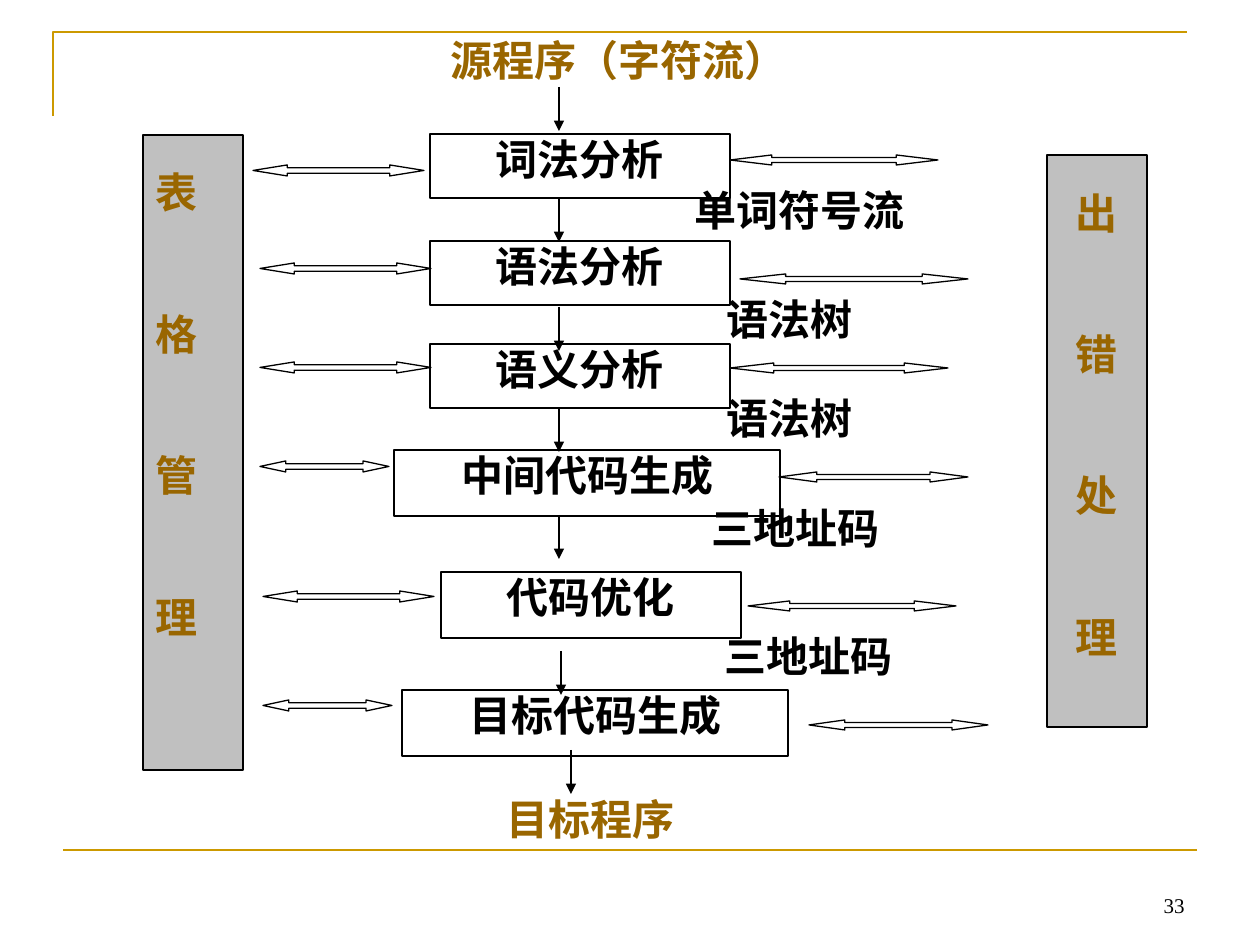
"""Build the compiler phases slide with its tables and error handling columns."""
from typing import NamedTuple

from lxml import etree
from pptx import Presentation
from pptx.dml.color import RGBColor
from pptx.enum.shapes import MSO_CONNECTOR, MSO_SHAPE
from pptx.enum.text import MSO_ANCHOR, PP_ALIGN
from pptx.oxml.ns import qn
from pptx.util import Emu, Pt

EMU_PER_PX = 914400 / 126
RECTANGLE = MSO_SHAPE.RECTANGLE
DOUBLE_ARROW = MSO_SHAPE.LEFT_RIGHT_ARROW
STRAIGHT = MSO_CONNECTOR.STRAIGHT
TOP, BOTTOM = MSO_ANCHOR.TOP, MSO_ANCHOR.BOTTOM
LEFT, CENTER, RIGHT = PP_ALIGN.LEFT, PP_ALIGN.CENTER, PP_ALIGN.RIGHT

COLORS = {"ink": "000000", "paper": "FFFFFF", "column": "C0C0C0",
          "accent": "996600", "frame": "CC9900"}
BODY_FONT = {"name": "Noto Sans CJK SC", "size": Pt(24), "bold": True}
NUMBER_FONT = {"name": "Times New Roman", "size": Pt(12), "bold": False}
LETTER_GAP = Pt(52)
FLOW_LENGTH = 44


class Label(NamedTuple):
    text: str
    left: int
    top: int
    width: int
    color: str = "ink"
    height: int = 66


class Column(NamedTuple):
    letters: str
    left: int
    top: int
    height: int
    alignment: PP_ALIGN


class Exchange(NamedTuple):
    left: int
    top: int
    width: int
    height: int


PHASES = [
    Label("词法分析", 430, 134, 300, height=64),
    Label("语法分析", 430, 241, 300, height=64),
    Label("语义分析", 430, 344, 300, height=64),
    Label("中间代码生成", 394, 450, 386),
    Label("代码优化", 441, 572, 300),
    Label("目标代码生成", 402, 690, 386),
]
LABELS = [
    Label("源程序（字符流）", 430, 35, 378, "accent"),
    Label("单词符号流", 650, 185, 300),
    Label("语法树", 640, 294, 300),
    Label("语法树", 640, 393, 300),
    Label("三地址码", 561, 503, 469),
    Label("三地址码", 581, 631, 456),
    Label("目标程序", 441, 794, 300, "accent"),
]
COLUMNS = [Column("表格管理", 143, 135, 635, LEFT),
           Column("出错处理", 1047, 155, 572, CENTER)]
FLOWS = [(559, 87), (559, 198), (559, 307), (559, 408), (559, 515), (561, 651), (571, 750)]
TABLE_EXCHANGES = [(253, 165, 171), (260, 263, 171), (260, 362, 171),
                   (260, 461, 129), (263, 591, 171), (263, 700, 129)]
ERROR_EXCHANGES = [(730, 155, 208), (740, 274, 228), (730, 363, 218),
                   (779, 472, 189), (748, 601, 208), (809, 720, 179)]
EXCHANGES = ([Exchange(*place, 11) for place in TABLE_EXCHANGES]
             + [Exchange(*place, 10) for place in ERROR_EXCHANGES])


def px(length: float) -> Emu:
    """Turn pixels into EMU."""
    return Emu(round(length * EMU_PER_PX))


def rgb(name: str) -> RGBColor:
    """Look up a named colour."""
    return RGBColor.from_string(COLORS[name])


def apply(target, values: dict) -> None:
    """Set each attribute of the target from a dict."""
    for attribute, value in values.items():
        setattr(target, attribute, value)


def set_line(shape, color: str = "ink", width: float = 0.75) -> None:
    """Give a shape or connector a solid line."""
    shape.line.color.rgb = rgb(color)
    shape.line.width = Pt(width)


def write(shape, lines: list[str], color: str, alignment: PP_ALIGN, font: dict = BODY_FONT,
          inset: int = 0, anchor: MSO_ANCHOR = TOP) -> None:
    """Write one paragraph per line into a shape."""
    frame = shape.text_frame
    apply(frame, {"word_wrap": True, "vertical_anchor": anchor,
                  "margin_top": px(inset), "margin_bottom": px(6)})
    for index, line in enumerate(lines):
        paragraph = frame.add_paragraph() if index else frame.paragraphs[0]
        apply(paragraph, {"alignment": alignment,
                          "space_before": LETTER_GAP if index else Pt(0)})
        run = paragraph.add_run()
        run.text = line
        run.font.color.rgb = rgb(color)
        apply(run.font, font)
        east_asian = etree.SubElement(run.font._element, qn("a:ea"))
        east_asian.set("typeface", font["name"])


def add_solid(slide, kind: MSO_SHAPE, left: int, top: int, width: int, height: int,
              fill: str = "paper"):
    """Add a filled and outlined preset shape."""
    shape = slide.shapes.add_shape(kind, px(left), px(top), px(width), px(height))
    shape.shadow.inherit = False
    shape.fill.solid()
    shape.fill.fore_color.rgb = rgb(fill)
    set_line(shape)
    return shape


def add_phase(slide, phase: Label) -> None:
    """Add one compiler phase box."""
    shape = add_solid(slide, RECTANGLE, phase.left, phase.top, phase.width, phase.height)
    write(shape, [phase.text], phase.color, CENTER)


def add_label(slide, label: Label) -> None:
    """Add a text label without a box."""
    shape = slide.shapes.add_textbox(px(label.left), px(label.top),
                                     px(label.width), px(label.height))
    write(shape, [label.text], label.color, CENTER)


def add_column(slide, column: Column) -> None:
    """Add a tall column with one letter per paragraph."""
    shape = add_solid(slide, RECTANGLE, column.left, column.top, 100, column.height, "column")
    write(shape, list(column.letters), "accent", column.alignment, inset=32)


def add_exchange(slide, exchange: Exchange) -> None:
    """Add a double arrow whose heads each take a fifth of its width."""
    shape = add_solid(slide, DOUBLE_ARROW, *exchange)
    shape.adjustments[0] = 0.5
    shape.adjustments[1] = exchange.width / 5 / exchange.height


def add_line(slide, start: tuple[int, int], end: tuple[int, int], color: str = "ink",
             width: float = 0.75, arrow: bool = False) -> None:
    """Add a straight line, with an arrowhead at its end if wanted."""
    line = slide.shapes.add_connector(STRAIGHT, *map(px, start + end))
    set_line(line, color, width)
    if arrow:
        etree.SubElement(line.line._get_or_add_ln(), qn("a:tailEnd")).set("type", "triangle")
    etree.SubElement(line._element.spPr, qn("a:effectLst"))


def add_frame(slide) -> None:
    """Add the corner line, the bottom rule and the slide number."""
    builder = slide.shapes.build_freeform(53, 116, scale=EMU_PER_PX)
    builder.add_line_segments([(53, 32), (1187, 32)], close=False)
    corner = builder.convert_to_shape()
    corner.shadow.inherit = False
    corner.fill.background()
    set_line(corner, "frame", 1.5)
    add_line(slide, (63, 850), (1197, 850), "frame", 1.5)
    number = slide.shapes.add_textbox(px(903), px(861), px(294), px(63))
    write(number, ["33"], "ink", RIGHT, NUMBER_FONT, 6, BOTTOM)


def main() -> None:
    """Build and save the slide."""
    presentation = Presentation()
    presentation.slide_width, presentation.slide_height = px(1260), px(945)
    slide = presentation.slides.add_slide(presentation.slide_layouts[6])
    add_frame(slide)
    for draw, items in ((add_phase, PHASES), (add_column, COLUMNS),
                        (add_label, LABELS), (add_exchange, EXCHANGES)):
        for item in items:
            draw(slide, item)
    for left, top in FLOWS:
        add_line(slide, (left, top), (left, top + FLOW_LENGTH), arrow=True)
    presentation.save("out.pptx")


if __name__ == "__main__":
    main()
